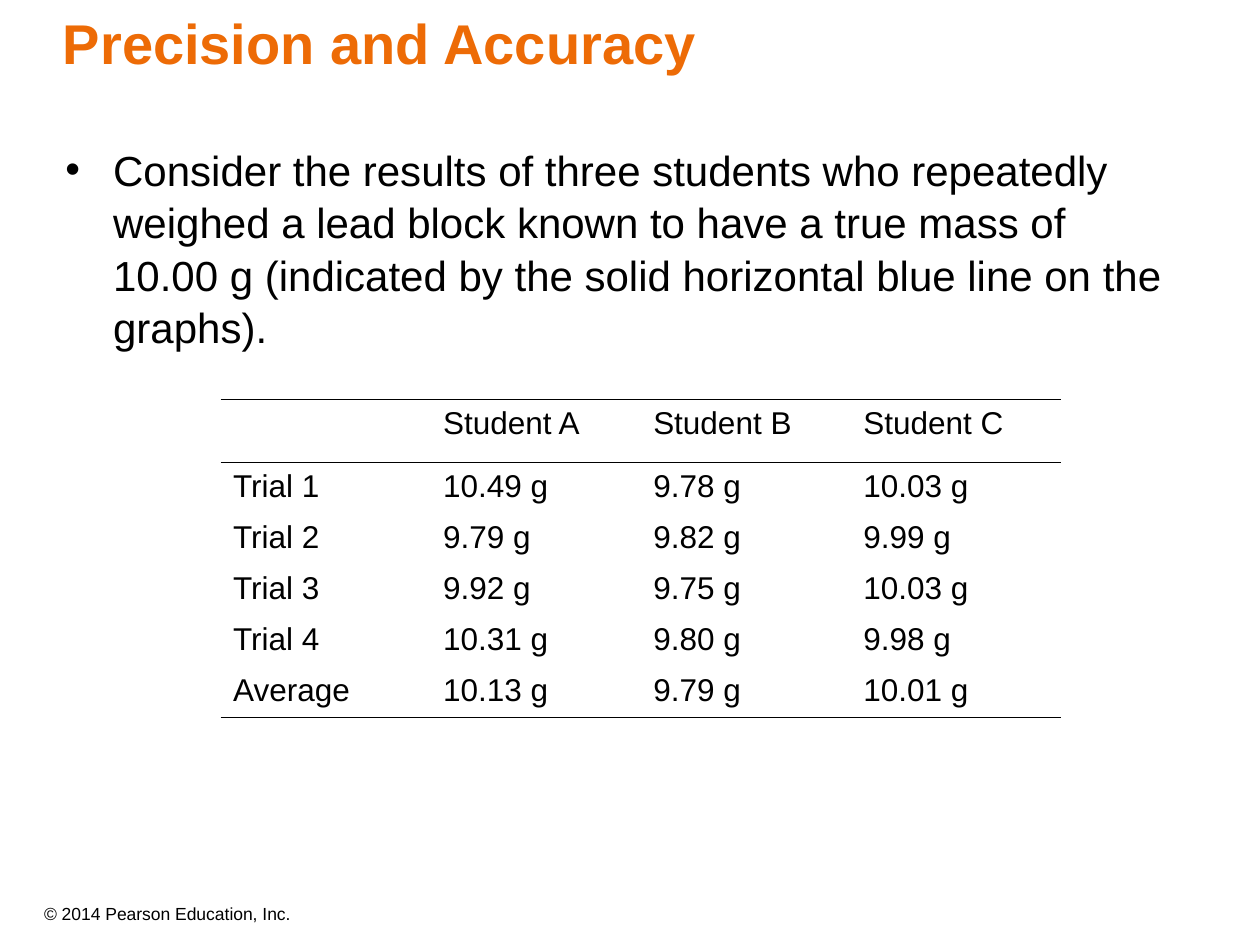
from lxml.etree import SubElement
from pptx import Presentation
from pptx.dml.color import RGBColor
from pptx.enum.text import MSO_ANCHOR
from pptx.oxml.ns import qn
from pptx.util import Inches, Pt

FONT = "Arial"
BLACK = "000000"
ORANGE = "ED6B06"

TITLE = "Precision and Accuracy"
BODY = (
    "Consider the results of three students who repeatedly weighed a lead "
    "block known to have a true mass of 10.00 g (indicated by the solid "
    "horizontal blue line on the graphs)."
)
COPYRIGHT = "© 2014 Pearson Education, Inc."
RESULTS = [
    ("", "Student A", "Student B", "Student C"),
    ("Trial 1", "10.49 g", "9.78 g", "10.03 g"),
    ("Trial 2", "9.79 g", "9.82 g", "9.99 g"),
    ("Trial 3", "9.92 g", "9.75 g", "10.03 g"),
    ("Trial 4", "10.31 g", "9.80 g", "9.98 g"),
    ("Average", "10.13 g", "9.79 g", "10.01 g"),
]
TABLE_LEFT, TABLE_TOP, TABLE_WIDTH = 1.75, 3.17, 6.67
HEADER_HEIGHT, ROW_HEIGHT = 0.5, 0.405
RULE_WIDTH = 0.45


def color(hex_value):
    return RGBColor.from_string(hex_value)


def add_run(paragraph, text, size, hex_value=BLACK, bold=False):
    run = paragraph.add_run()
    run.text = text
    run.font.name = FONT
    run.font.size = Pt(size)
    run.font.bold = bold
    run.font.color.rgb = color(hex_value)


def add_text_box(slide, box, margins):
    """Add an empty wrapping box and return its first paragraph."""
    frame = slide.shapes.add_textbox(*map(Inches, box)).text_frame
    frame.word_wrap = True
    frame.vertical_anchor = MSO_ANCHOR.TOP
    (frame.margin_left, frame.margin_top,
     frame.margin_right, frame.margin_bottom) = map(Inches, margins)
    return frame.paragraphs[0]


def add_bullet(paragraph, indent):
    properties = paragraph._p.get_or_add_pPr()
    properties.set("marL", str(Inches(indent)))
    properties.set("indent", str(-Inches(indent)))
    SubElement(properties, qn("a:buFont"), typeface=FONT)
    SubElement(properties, qn("a:buChar"), char="•")


def set_borders(cell, ruled_sides):
    """Rule the given sides of a cell (L, R, T, B) and clear the others."""
    properties = cell._tc.get_or_add_tcPr()
    for side in "LRTB":
        line = SubElement(properties, qn(f"a:ln{side}"), w=str(Pt(RULE_WIDTH)))
        if side in ruled_sides:
            fill = SubElement(line, qn("a:solidFill"))
            SubElement(fill, qn("a:srgbClr"), val=BLACK)
        else:
            SubElement(line, qn("a:noFill"))


def add_results_table(slide):
    row_count, column_count = len(RESULTS), len(RESULTS[0])
    heights = [HEADER_HEIGHT] + [ROW_HEIGHT] * (row_count - 1)
    table = slide.shapes.add_table(
        row_count, column_count, Inches(TABLE_LEFT), Inches(TABLE_TOP),
        Inches(TABLE_WIDTH), Inches(sum(heights))).table
    table.first_row = table.horz_banding = False
    ruled_sides = {0: "TB", 1: "T", row_count - 1: "B"}

    for row_index, (values, height) in enumerate(zip(RESULTS, heights)):
        table.rows[row_index].height = Inches(height)
        for column_index, value in enumerate(values):
            cell = table.cell(row_index, column_index)
            set_borders(cell, ruled_sides.get(row_index, ""))
            cell.fill.background()
            if value:
                add_run(cell.text_frame.paragraphs[0], value, 18)


def main():
    presentation = Presentation()
    presentation.slide_width = Inches(10)
    presentation.slide_height = Inches(7.5)
    slide = presentation.slides.add_slide(presentation.slide_layouts[6])

    footer = add_text_box(slide, (0.35, 7.17, 5.9, 0.2), (0, 0, 0, 0))
    add_run(footer, COPYRIGHT, 10)

    title = add_text_box(slide, (0, 0, 10, 0.63), (0.5, 0.05, 0.1, 0.05))
    title.line_spacing = 1.04
    add_run(title, TITLE, 32, ORANGE, bold=True)

    body = add_text_box(slide, (0.42, 1.08, 9, 1.72), (0.1, 0.05, 0.1, 0.05))
    body.line_spacing = 1.04
    add_bullet(body, 0.38)
    add_run(body, BODY, 24)

    add_results_table(slide)
    presentation.save("out.pptx")


if __name__ == "__main__":
    main()
